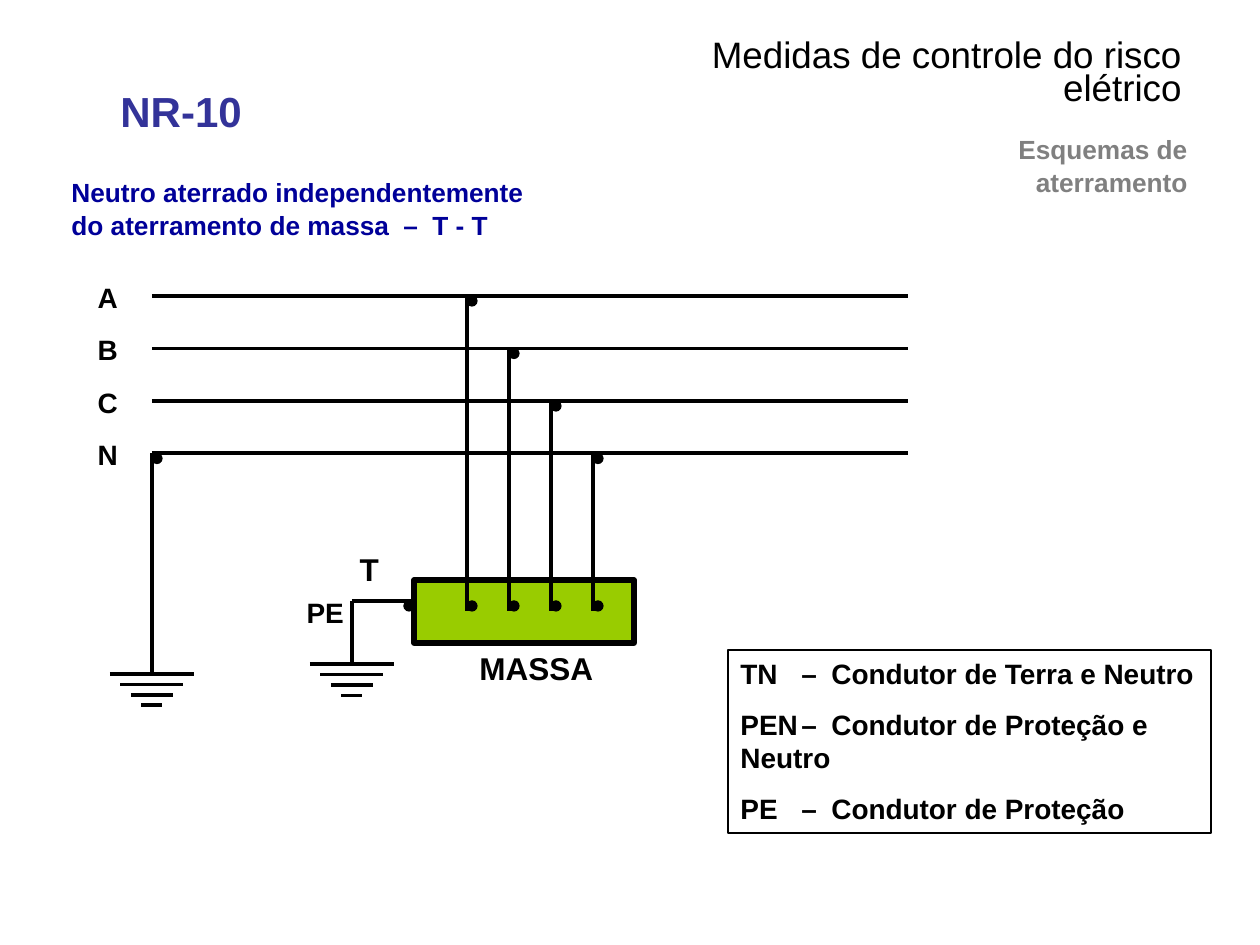
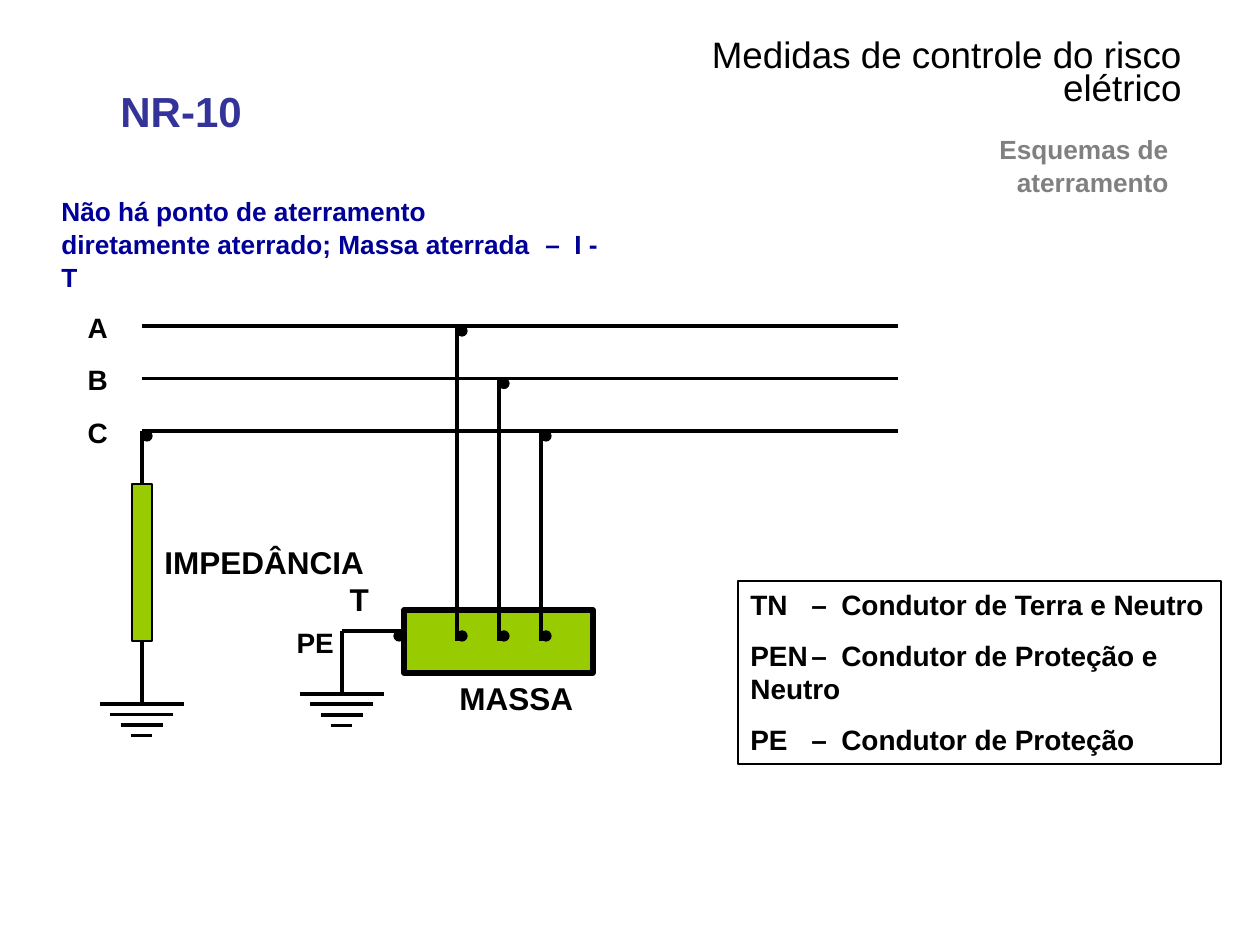
from lxml import etree
from pptx import Presentation
from pptx.dml.color import RGBColor
from pptx.enum.shapes import MSO_CONNECTOR, MSO_SHAPE
from pptx.enum.text import MSO_ANCHOR, MSO_AUTO_SIZE, PP_ALIGN
from pptx.oxml.ns import qn
from pptx.util import Pt

STRAIGHT = MSO_CONNECTOR.STRAIGHT
RECTANGLE, OVAL = MSO_SHAPE.RECTANGLE, MSO_SHAPE.OVAL
TOP, MIDDLE, BOTTOM = MSO_ANCHOR.TOP, MSO_ANCHOR.MIDDLE, MSO_ANCHOR.BOTTOM
NO_FIT, GROW = MSO_AUTO_SIZE.NONE, MSO_AUTO_SIZE.SHAPE_TO_FIT_TEXT
LEFT, RIGHT = PP_ALIGN.LEFT, PP_ALIGN.RIGHT

EMU_PER_PX = 914400 / 126
FONT = "Arial"
BLACK, WHITE, GREEN = "000000", "FFFFFF", "99CC00"
INDIGO, NAVY, GREY = "333399", "000099", "808080"
HEADING = {"line_spacing": Pt(19), "space_after": Pt(3)}

BUS_LENGTH, BUS_PITCH = 756, 52.5
DROP_LEFT, DROP_PITCH, DROP_END = 315, 42, 315
TERMINAL_Y, DOT = 305, 10
MASS_LEFT, MASS_TOP, MASS_HEIGHT = 262, 284, 63
PE_X, PE_EARTH_Y, SOURCE_EARTH_Y = 200, 368, 378
EARTH_BARS, EARTH_PITCH = (84, 63, 42, 21), 10.5
IMPEDANCE_TOP, IMPEDANCE_WIDTH, IMPEDANCE_HEIGHT = 158, 20, 157
SYMBOL = 42

LEGEND = (
    "TN\t–\tCondutor de Terra e Neutro",
    "PEN\t–\tCondutor de Proteção e Neutro",
    "PE\t–\tCondutor de Proteção",
)
LEGEND_TABS = (61, 91)


def px(length):
    """Turn pixels into EMU."""
    return round(length * EMU_PER_PX)


def color(hex_value):
    """Turn a hex string into a colour."""
    return RGBColor.from_string(hex_value)


def apply(target, values):
    """Set each attribute of the target from a dict."""
    for name, value in values.items():
        setattr(target, name, value)


def add_tabs(paragraph, stops):
    """Give a paragraph left tab stops."""
    tab_list = etree.SubElement(paragraph._p.get_or_add_pPr(), qn("a:tabLst"))
    for stop in stops:
        etree.SubElement(tab_list, qn("a:tab"), pos=str(px(stop)), algn="l")


def write(shape, lines, size, ink=BLACK, bold=True, tabs=(), paragraph_format=None, **frame_format):
    """Fill a shape with formatted paragraphs."""
    frame = shape.text_frame
    apply(frame, {"word_wrap": True, "auto_size": GROW, "vertical_anchor": TOP, **frame_format})
    for index, line in enumerate(lines):
        paragraph = frame.add_paragraph() if index else frame.paragraphs[0]
        paragraph.text = line
        if tabs:
            add_tabs(paragraph, tabs)
        apply(paragraph, {"alignment": LEFT, **(paragraph_format or {})})
        for run in paragraph.runs:
            apply(run.font, {"name": FONT, "size": Pt(size), "bold": bold})
            run.font.color.rgb = color(ink)


def add_text(shapes, box, line, size, **style):
    """Add a text box with one paragraph."""
    write(shapes.add_textbox(*map(px, box)), [line], size, **style)


def add_block(shapes, kind, box, fill=None, weight=None):
    """Add a preset shape, unfilled and unlined unless asked."""
    block = shapes.add_shape(kind, *map(px, box))
    block.shadow.inherit = False
    if fill:
        block.fill.solid()
        block.fill.fore_color.rgb = color(fill)
        block.line.color.rgb = color(BLACK)
        block.line.width = Pt(weight)
    else:
        block.fill.background()
        block.line.fill.background()
    return block


def add_wire(shapes, x1, y1, x2, y2):
    """Add a straight conductor."""
    wire = shapes.add_connector(STRAIGHT, *map(px, (x1, y1, x2, y2)))
    wire.line.color.rgb = color(BLACK)
    wire.line.width = Pt(2.25)
    etree.SubElement(wire._element.spPr, qn("a:effectLst"))
    return wire


def add_dot(shapes, x, y):
    """Add a junction dot by its top left corner."""
    add_block(shapes, OVAL, (x, y, DOT, DOT), BLACK, 0.75)


def add_symbol(shapes, x, y, text, size=16):
    """Add a short conductor name."""
    holder = add_block(shapes, OVAL, (x, y, SYMBOL, SYMBOL))
    write(holder, [text], size, word_wrap=False, auto_size=NO_FIT, vertical_anchor=MIDDLE)


def add_earth(shapes, x, y):
    """Add an earth symbol below a point."""
    for row, width in enumerate(EARTH_BARS):
        bar_y = y + row * EARTH_PITCH
        add_wire(shapes, x - width / 2, bar_y, x + width / 2, bar_y)


def add_header(shapes, topic_left):
    """Add the standard's name, the title and the topic."""
    add_text(shapes, (108, 79, 157, 63), "NR-10", 24, ink=INDIGO)
    right = {"word_wrap": False, "vertical_anchor": BOTTOM,
             "paragraph_format": {**HEADING, "alignment": RIGHT}}
    add_text(shapes, (571, 68, 623, 47), "Medidas de controle do risco elétrico",
             21, bold=False, **right)
    add_text(shapes, (topic_left, 157, 353, 47), "Esquemas de aterramento",
             15, ink=GREY, **right)


def add_legend(shapes, left, top):
    """Add the framed list of conductor codes."""
    frame = add_block(shapes, RECTANGLE, (left, top, 483, 183), WHITE, 1)
    write(frame, LEGEND, 16, tabs=LEGEND_TABS, paragraph_format={"space_after": Pt(10)})


def add_buses(shapes, x, y, names):
    """Add the supply lines with their drops to the mass."""
    for row, name in enumerate(names):
        bus_y = y + row * BUS_PITCH
        drop_x = x + DROP_LEFT + row * DROP_PITCH
        add_symbol(shapes, x - 73, bus_y - 20, name)
        add_wire(shapes, x, bus_y, x + BUS_LENGTH, bus_y)
        add_wire(shapes, drop_x, bus_y, drop_x, y + DROP_END)
        add_dot(shapes, drop_x, bus_y)
        add_dot(shapes, drop_x, y + TERMINAL_Y)


def add_mass(shapes, x, y, width, label_left):
    """Add the mass with its own protective earth."""
    add_block(shapes, RECTANGLE, (x + MASS_LEFT, y + MASS_TOP, width, MASS_HEIGHT), GREEN, 3)
    add_text(shapes, (x + label_left, y + 347, 147, 50), "MASSA", 18)
    pe_x, terminal_y, earth_y = x + PE_X, y + TERMINAL_Y, y + PE_EARTH_Y
    add_wire(shapes, pe_x, terminal_y, x + MASS_LEFT, terminal_y)
    add_wire(shapes, pe_x, terminal_y, pe_x, earth_y)
    add_dot(shapes, x + MASS_LEFT - DOT, terminal_y)
    add_earth(shapes, pe_x, earth_y)
    add_symbol(shapes, x + 189, y + 252, "T", 18)
    add_symbol(shapes, x + 136, y + 295, "PE")


def add_source_earth(shapes, x, y, bus_y, has_impedance):
    """Earth the last bus, directly or through an impedance."""
    earth_y = y + SOURCE_EARTH_Y
    if has_impedance:
        top = y + IMPEDANCE_TOP
        impedance = add_block(
            shapes, RECTANGLE,
            (x - IMPEDANCE_WIDTH / 2, top, IMPEDANCE_WIDTH, IMPEDANCE_HEIGHT), GREEN, 0.75)
        add_wire(shapes, x, bus_y, x, top).end_connect(impedance, 0)
        add_wire(shapes, x, top + IMPEDANCE_HEIGHT, x, earth_y).begin_connect(impedance, 2)
        add_text(shapes, (x + 10, y + 211, 231, 50), "IMPEDÂNCIA", 18)
    else:
        add_wire(shapes, x, bus_y, x, earth_y)
    add_dot(shapes, x, bus_y)
    add_earth(shapes, x, earth_y)


def add_circuit(slide, x, y, names, mass_width, label_left, has_impedance):
    """Draw the whole circuit from the start of its first bus."""
    shapes = slide.shapes.add_group_shape().shapes
    add_mass(shapes, x, y, mass_width, label_left)
    add_buses(shapes, x, y, names)
    add_source_earth(shapes, x, y, y + (len(names) - 1) * BUS_PITCH, has_impedance)


def add_scheme_slide(deck, topic_left, legend, scheme, scheme_box, scheme_tabs, circuit):
    """Add one earthing scheme slide."""
    slide = deck.slides.add_slide(deck.slide_layouts[6])
    add_header(slide.shapes, topic_left)
    add_legend(slide.shapes, *legend)
    add_text(slide.shapes, scheme_box, scheme, 15, ink=NAVY, tabs=scheme_tabs,
             paragraph_format=HEADING, word_wrap=False)
    add_circuit(slide, **circuit)


def main():
    """Build and save the deck."""
    deck = Presentation()
    apply(deck, {"slide_width": px(1260), "slide_height": px(945)})
    add_scheme_slide(
        deck, 847, (728, 650),
        "Neutro aterrado independentemente\vdo aterramento de massa\t–\tT - T",
        (59, 168, 484, 79), (332, 361),
        {"x": 152, "y": 296, "names": "ABCN", "mass_width": 220,
         "label_left": 315, "has_impedance": False})
    add_scheme_slide(
        deck, 828, (738, 581),
        "Não há ponto de aterramento\vdiretamente aterrado; Massa aterrada\t–\tI - T",
        (49, 187, 583, 79), (484, 513),
        {"x": 142, "y": 326, "names": "ABC", "mass_width": 189,
         "label_left": 305, "has_impedance": True})
    deck.save("out.pptx")


if __name__ == "__main__":
    main()
